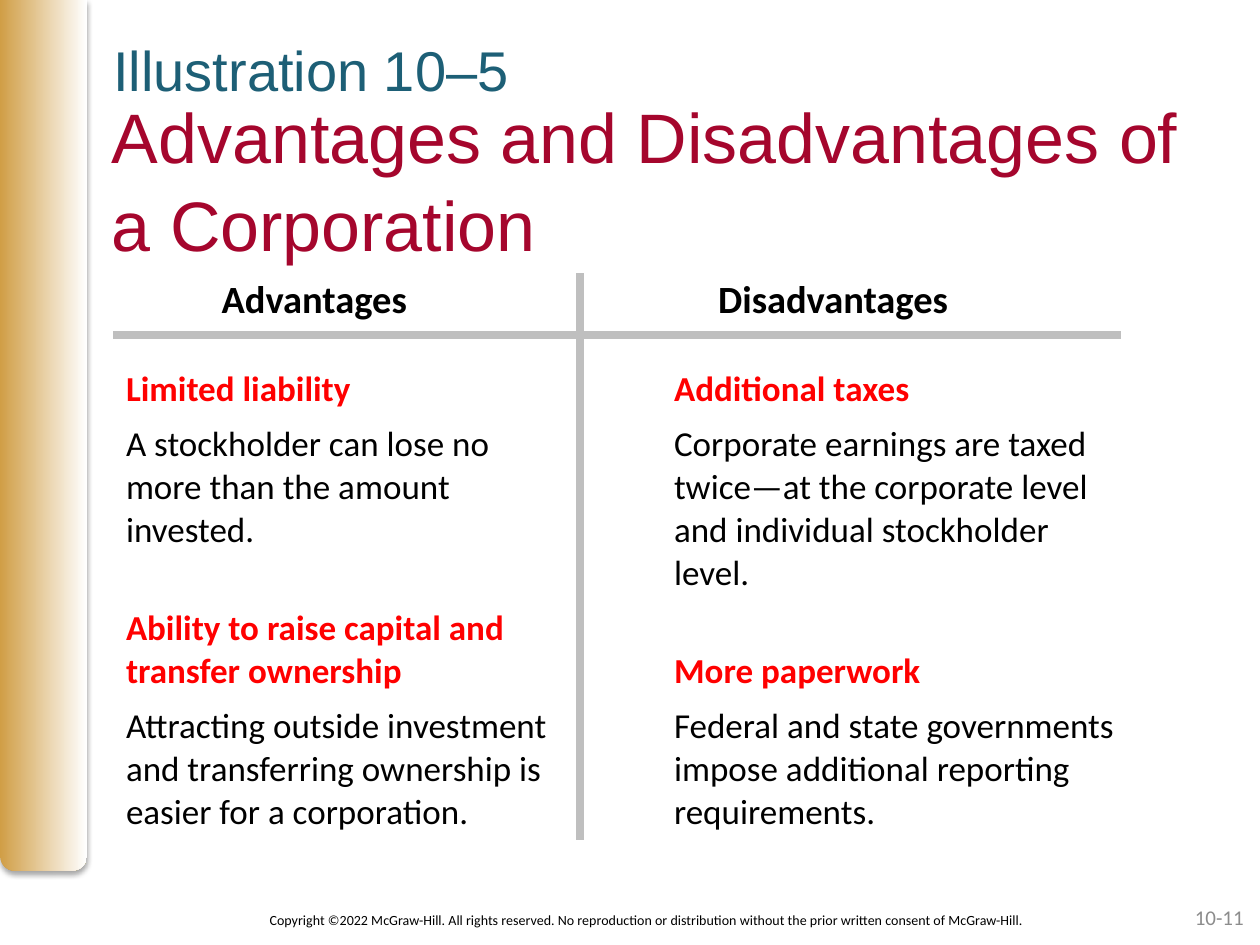
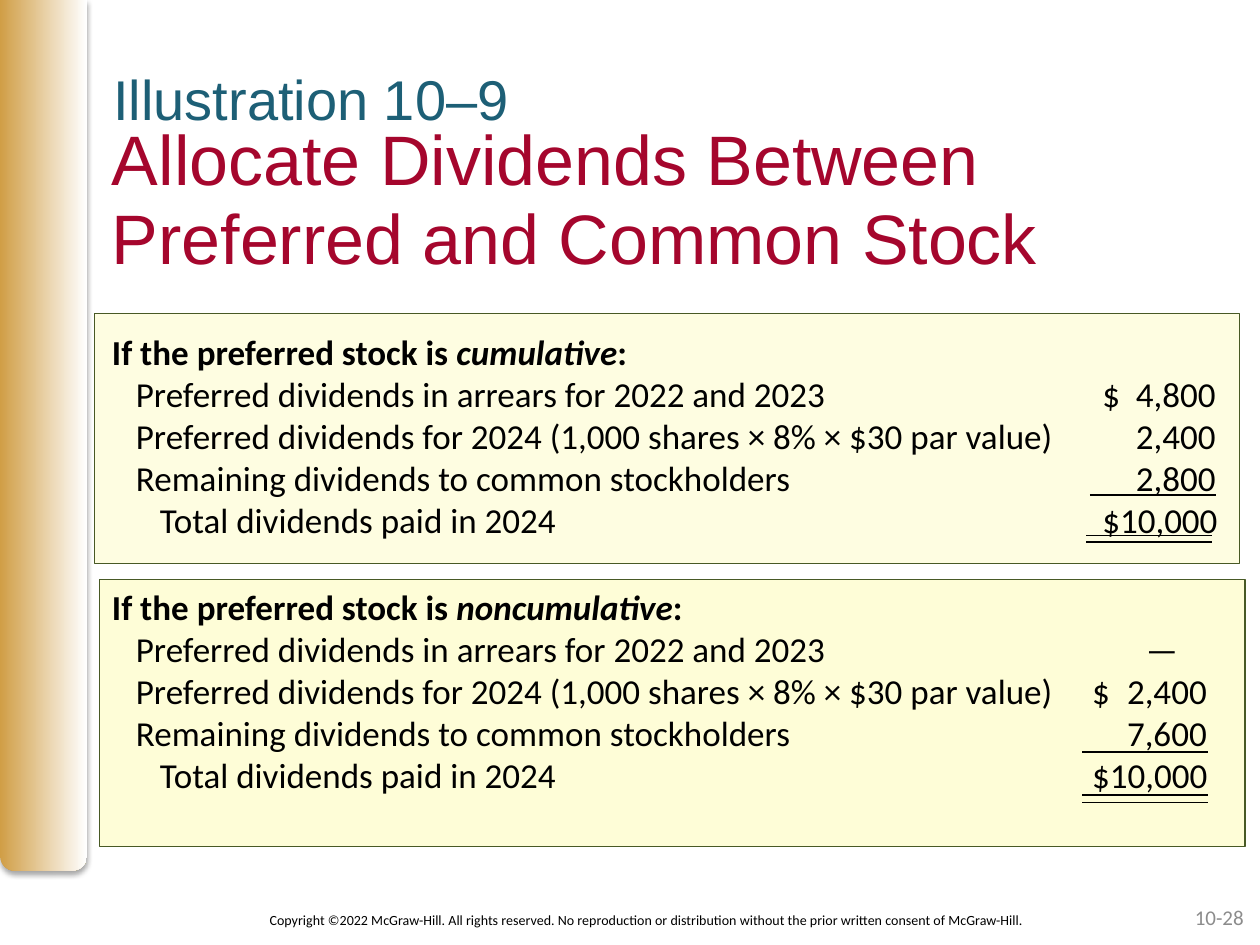
from typing import NamedTuple

import pptx
import pptx.dml.color
import pptx.enum.shapes
import pptx.enum.text
import pptx.oxml
import pptx.oxml.ns
import pptx.presentation
import pptx.shapes.autoshape
import pptx.slide
import pptx.table
import pptx.text.text
import pptx.util
from pptx.util import Inches

TEAL, CRIMSON, RED = "1D5F76", "A5062D", "FF0000"
BLACK, GRAY, SILVER = "000000", "8C8C8C", "BFBFBF"
GOLD, WHITE, OLIVE = "D09E46", "FFFFFF", "485925"
CREAM, PALE = "FEFDD7", "FEFDE1"
HEAD_FONT, BODY_FONT = "Arial", "Calibri"
PLAIN_TABLE = "{2D5ABB26-0587-4C30-8999-92F81FD0307C}"
NOTICE = ("Copyright ©2022 McGraw-Hill. All rights reserved. No reproduction or "
          "distribution without the prior written consent of McGraw-Hill.")

SHAPE = pptx.enum.shapes.MSO_SHAPE
ALIGN = pptx.enum.text.PP_ALIGN
ANCHOR = pptx.enum.text.MSO_ANCHOR


class Box(NamedTuple):
    left: float
    top: float
    width: float
    height: float


class Style(NamedTuple):
    size: float
    color: str = BLACK
    font: str = BODY_FONT
    bold: bool = False


class Head(NamedTuple):
    label: str
    label_top: float
    title: str
    title_top: float
    spacing: float
    page: str


class Entry(NamedTuple):
    label: str
    amount: str
    sign: str = ""
    level: int = 1
    shift: float = 0


class Ledger(NamedTuple):
    kind: str
    box: Box
    fill: str
    text_top: float
    sign_tab: float
    sum_tab: float
    entries: list[Entry]
    rules: list[tuple[float, float]]  # left end and height of each rule


COLUMN, TABLE_LEFT = 4.35, 0.9
HEADINGS = [("Advantages", 0.86), ("Disadvantages", 0.45)]
POINTS = [
    (0.44, "Limited liability", "Additional taxes"),
    (1.46, "A stockholder can lose no\vmore than the amount\vinvested.",
     "Corporate earnings are taxed\vtwice—at the corporate level\v"
     "and individual stockholder\vlevel."),
    (0.78, "Ability to raise capital and\vtransfer ownership", "More paperwork"),
    (1.12, "Attracting outside investment\vand transferring ownership is\v"
     "easier for a corporation.",
     "Federal and state governments\vimpose additional reporting requirements."),
]

ARREARS = "Preferred dividends in arrears for 2022 and 2023"
CURRENT = "Preferred dividends for 2024 (1,000 shares × 8% × $30 par value)"
REMAINDER = "Remaining dividends to common stockholders"
TOTAL = Entry("Total dividends paid in 2024", "10,000", "$", level=2)
LEDGERS = [
    Ledger("cumulative", Box(0.75, 2.49, 9.09, 1.98), PALE, 2.57, 7.86, 8.76,
           [Entry(ARREARS, "4,800", "$"), Entry(CURRENT, "2,400"),
            Entry(REMAINDER, "2,800"), TOTAL],
           [(8.65, 3.93), (8.62, 4.25), (8.62, 4.3)]),
    Ledger("noncumulative", Box(0.79, 4.6, 9.09, 2.12), CREAM, 4.6, 7.78, 8.69,
           [Entry(ARREARS, "—", shift=-0.23), Entry(CURRENT, "2,400", "$"),
            Entry(REMAINDER, "7,600"), TOTAL],
           [(8.59, 5.97), (8.59, 6.31), (8.59, 6.37)]),
]


def rgb(color: str) -> pptx.dml.color.RGBColor:
    return pptx.dml.color.RGBColor.from_string(color)


def place(box: Box) -> list[pptx.util.Length]:
    return [Inches(side) for side in box]


def set_font(para: pptx.text.text._Paragraph, style: Style) -> None:
    font = para.font
    font.size = pptx.util.Pt(style.size)
    font.name = style.font
    font.bold = style.bold
    font.color.rgb = rgb(style.color)


def add_frame(slide: pptx.slide.Slide, box: Box) -> pptx.text.text.TextFrame:
    frame = slide.shapes.add_textbox(*place(box)).text_frame
    frame.word_wrap = True
    return frame


def add_text(slide: pptx.slide.Slide, box: Box, text: str, style: Style,
             align: ALIGN = ALIGN.LEFT, anchor: ANCHOR = ANCHOR.TOP,
             spacing: float = 1.0) -> pptx.text.text.TextFrame:
    frame = add_frame(slide, box)
    frame.vertical_anchor = anchor
    para = frame.paragraphs[0]
    para.text = text
    para.alignment = align
    para.line_spacing = spacing
    set_font(para, style)
    return frame


def add_shape(slide: pptx.slide.Slide, kind: SHAPE,
              box: Box) -> pptx.shapes.autoshape.Shape:
    shape = slide.shapes.add_shape(kind, *place(box))
    shape.shadow.inherit = False
    return shape


def add_line(slide: pptx.slide.Slide, start: tuple[float, float],
             end: tuple[float, float], color: str, width: float) -> None:
    line = slide.shapes.add_connector(
        pptx.enum.shapes.MSO_CONNECTOR.STRAIGHT,
        *[Inches(value) for value in start + end])
    line.line.color.rgb = rgb(color)
    line.line.width = pptx.util.Pt(width)
    props = line.element.find(pptx.oxml.ns.qn("p:spPr"))
    props.append(pptx.oxml.parse_xml(
        f"<a:effectLst {pptx.oxml.ns.nsdecls('a')}/>"))


def add_band(slide: pptx.slide.Slide) -> None:
    band = add_shape(slide, SHAPE.ROUND_2_SAME_RECTANGLE, Box(0, 0, 0.69, 6.91))
    band.adjustments[0], band.adjustments[1] = 0, 0.17
    band.line.fill.background()
    band.fill.gradient()
    band.fill.gradient_angle = 0
    for stop, color in zip(band.fill.gradient_stops, (GOLD, WHITE)):
        stop.color.rgb = rgb(color)
    effects = next(band.element.iter(pptx.oxml.ns.qn("a:effectLst")))
    blur, gap = pptx.util.Pt(3.1), pptx.util.Pt(1.8)
    effects.append(pptx.oxml.parse_xml(
        f'<a:outerShdw {pptx.oxml.ns.nsdecls("a")} blurRad="{blur}" dist="{gap}" '
        f'dir="5400000" rotWithShape="0"><a:srgbClr val="{BLACK}">'
        '<a:alpha val="35000"/></a:srgbClr></a:outerShdw>'))


def add_slide(deck: pptx.presentation.Presentation, head: Head) -> pptx.slide.Slide:
    """Add a slide with the band, titles and footers that all slides share."""
    slide = deck.slides.add_slide(deck.slide_layouts[6])
    add_band(slide)
    label = add_text(slide, Box(0.9, head.label_top, 6.58, 0.44), head.label,
                     Style(32, TEAL, HEAD_FONT))
    label.margin_left = label.margin_right = 0
    label.margin_top = label.margin_bottom = 0
    add_text(slide, Box(0.79, head.title_top, 9, 1.25), head.title,
             Style(40, CRIMSON, HEAD_FONT), spacing=head.spacing)
    add_text(slide, Box(1.56, 7.1, 7.15, 0.4), NOTICE, Style(8),
             ALIGN.CENTER, ANCHOR.MIDDLE)
    add_text(slide, Box(7.64, 7.08, 2.33, 0.4), head.page, Style(12, GRAY),
             ALIGN.RIGHT, ANCHOR.MIDDLE)
    return slide


def add_table(slide: pptx.slide.Slide, top: float,
              heights: list[float]) -> pptx.table.Table:
    """Add a two-column table without fills or borders."""
    box = Box(TABLE_LEFT, top, 2 * COLUMN, sum(heights))
    frame = slide.shapes.add_table(len(heights), 2, *place(box))
    next(frame.element.iter(pptx.oxml.ns.qn("a:tableStyleId"))).text = PLAIN_TABLE
    table = frame.table
    table.first_row = table.horz_banding = False
    for row, height in zip(table.rows, heights):
        row.height = Inches(height)
    return table


def fill_cell(cell: pptx.table._Cell, text: str, style: Style) -> None:
    cell.fill.background()
    para = cell.text_frame.paragraphs[0]
    para.text = text
    set_font(para, style)


def add_points(slide: pptx.slide.Slide) -> None:
    header = add_table(slide, 2.15, [0.47])
    for cell, (text, indent) in zip(header.rows[0].cells, HEADINGS):
        fill_cell(cell, text, Style(22, bold=True))
        cell.margin_left = Inches(indent)
    add_line(slide, (0.9, 2.66), (8.9, 2.66), SILVER, 4.5)
    add_line(slide, (4.6, 2.17), (4.6, 6.67), SILVER, 4.5)
    table = add_table(slide, 2.87, [point[0] for point in POINTS])
    for index, (_, *texts) in enumerate(POINTS):
        topic = index % 2 == 0
        style = Style(20, RED if topic else BLACK, bold=topic)
        for cell, text in zip(table.rows[index].cells, texts):
            fill_cell(cell, text, style)
    table.cell(2, 1).vertical_anchor = ANCHOR.BOTTOM


def set_tabs(para: pptx.text.text._Paragraph,
             stops: list[tuple[float, str]]) -> None:
    tabs = "".join(f'<a:tab pos="{Inches(at)}" algn="{side}"/>'
                   for at, side in stops)
    para._p.get_or_add_pPr().append(pptx.oxml.parse_xml(
        f"<a:tabLst {pptx.oxml.ns.nsdecls('a')}>{tabs}</a:tabLst>"))


def add_ledger(slide: pptx.slide.Slide, ledger: Ledger) -> None:
    panel = add_shape(slide, SHAPE.RECTANGLE, ledger.box)
    panel.fill.solid()
    panel.fill.fore_color.rgb = rgb(ledger.fill)
    panel.line.color.rgb = rgb(OLIVE)
    panel.line.width = pptx.util.Pt(0.75)

    frame = add_frame(slide, Box(0.79, ledger.text_top, 9.09, 1.78))
    para = frame.paragraphs[0]
    for text in ("If the preferred stock is ", ledger.kind, ":"):
        run = para.add_run()
        run.text = text
        run.font.italic = text == ledger.kind
    set_font(para, Style(20, bold=True))
    for entry in ledger.entries:
        para = frame.add_paragraph()
        para.text = "\t" * entry.level + "\t".join(
            (entry.label, entry.sign, entry.amount))
        set_tabs(para, [(0.19, "l"), (0.38, "l"), (ledger.sign_tab, "l"),
                        (ledger.sum_tab + entry.shift, "r")])
        set_font(para, Style(20))
    for left, height in ledger.rules:
        add_line(slide, (left, height), (left + 1, height), BLACK, 1)


def main() -> None:
    deck = pptx.Presentation()
    deck.slide_width, deck.slide_height = Inches(10), Inches(7.5)
    add_points(add_slide(deck, Head(
        "Illustration 10–5", 0.28,
        "Advantages and Disadvantages of a Corporation", 0.66, 1.05, "10-11")))
    slide = add_slide(deck, Head(
        "Illustration 10–9", 0.51,
        "Allocate Dividends Between Preferred and Common Stock", 0.92, 0.94, "10-28"))
    for ledger in LEDGERS:
        add_ledger(slide, ledger)
    deck.save("out.pptx")


if __name__ == "__main__":
    main()
